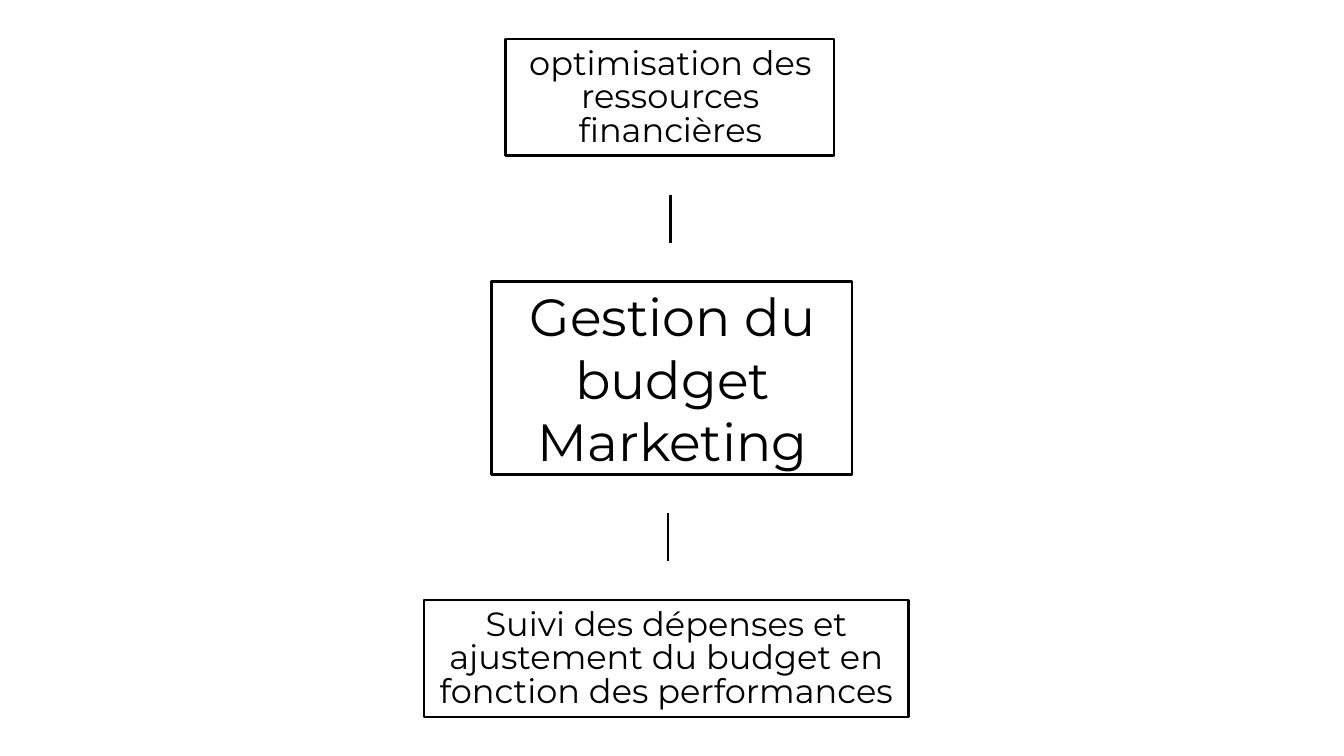
from pptx import Presentation
from pptx.dml.color import RGBColor
from pptx.enum.shapes import MSO_CONNECTOR, MSO_SHAPE
from pptx.enum.text import MSO_ANCHOR, MSO_AUTO_SIZE, PP_ALIGN
from pptx.oxml.ns import qn
from pptx.util import Inches, Pt
from lxml import etree

RECTANGLE = MSO_SHAPE.RECTANGLE
STRAIGHT = MSO_CONNECTOR.STRAIGHT
CENTER = PP_ALIGN.CENTER
TOP = MSO_ANCHOR.TOP
NO_AUTOFIT = MSO_AUTO_SIZE.NONE

COLORS = {"ink": "000000", "background": "FFFFFF"}
FONT = "Montserrat"
TITLE_ONLY = 5


def write_text(frame, text, *, size, spacing, font=FONT, color=COLORS["ink"]):
    frame.word_wrap = True
    frame.auto_size = NO_AUTOFIT
    frame.vertical_anchor = TOP
    frame.margin_left = frame.margin_right = 0
    frame.margin_top = frame.margin_bottom = 0
    paragraph = frame.paragraphs[0]
    paragraph.alignment = CENTER
    paragraph.line_spacing = Pt(spacing)
    paragraph.space_before = Pt(0)
    run = paragraph.add_run()
    run.text = text
    run.font.name = font
    run.font.size = Pt(size)
    run.font.color.rgb = RGBColor.from_string(color)


class BudgetSlide:
    line_width = Pt(3)
    ink = RGBColor.from_string(COLORS["ink"])

    def __init__(self, presentation):
        self.slide = presentation.slides.add_slide(presentation.slide_layouts[TITLE_ONLY])
        fill = self.slide.background.fill
        fill.solid()
        fill.fore_color.rgb = RGBColor.from_string(COLORS["background"])

    def style_line(self, line):
        line.color.rgb = self.ink
        line.width = self.line_width

    def frame(self, left, top, width, height):
        box = self.slide.shapes.add_shape(
            RECTANGLE, Inches(left), Inches(top), Inches(width), Inches(height))
        box.shadow.inherit = False
        box.fill.background()
        self.style_line(box.line)

    def title(self, text, left, top, width, height, **style):
        heading = self.slide.shapes.title
        heading.left, heading.top = Inches(left), Inches(top)
        heading.width, heading.height = Inches(width), Inches(height)
        write_text(heading.text_frame, text, **style)

    def label(self, text, left, top, width, height, **style):
        label = self.slide.shapes.add_textbox(
            Inches(left), Inches(top), Inches(width), Inches(height))
        write_text(label.text_frame, text, **style)

    def link(self, x, top, length=0.71):
        link = self.slide.shapes.add_connector(
            STRAIGHT, Inches(x), Inches(top), Inches(x), Inches(top + length))
        self.style_line(link.line)
        etree.SubElement(link._element.spPr, qn("a:effectLst"))


def main():
    presentation = Presentation()
    presentation.slide_width = Inches(20)
    presentation.slide_height = Inches(11.25)
    budget = BudgetSlide(presentation)

    budget.frame(7.32, 4.19, 5.36, 2.87)
    budget.title("Gestion du budget Marketing", 7.58, 4.23, 4.86, 2.78,
                 size=56, spacing=67.2)

    for x, top in ((9.94, 7.64), (9.98, 2.9)):
        budget.link(x, top)

    branches = (
        ("optimisation des ressources financières", 7.52, 0.58, 4.89, 7.8, 4.35),
        ("Suivi des dépenses et ajustement du budget en fonction des performances",
         6.31, 8.93, 7.21, 6.31, 7.21),
    )
    for text, left, top, width, text_left, text_width in branches:
        budget.frame(left, top, width, 1.74)
        budget.label(text, text_left, top + 0.14, text_width, 1.53, size=36, spacing=36)

    presentation.save("out.pptx")


if __name__ == "__main__":
    main()
